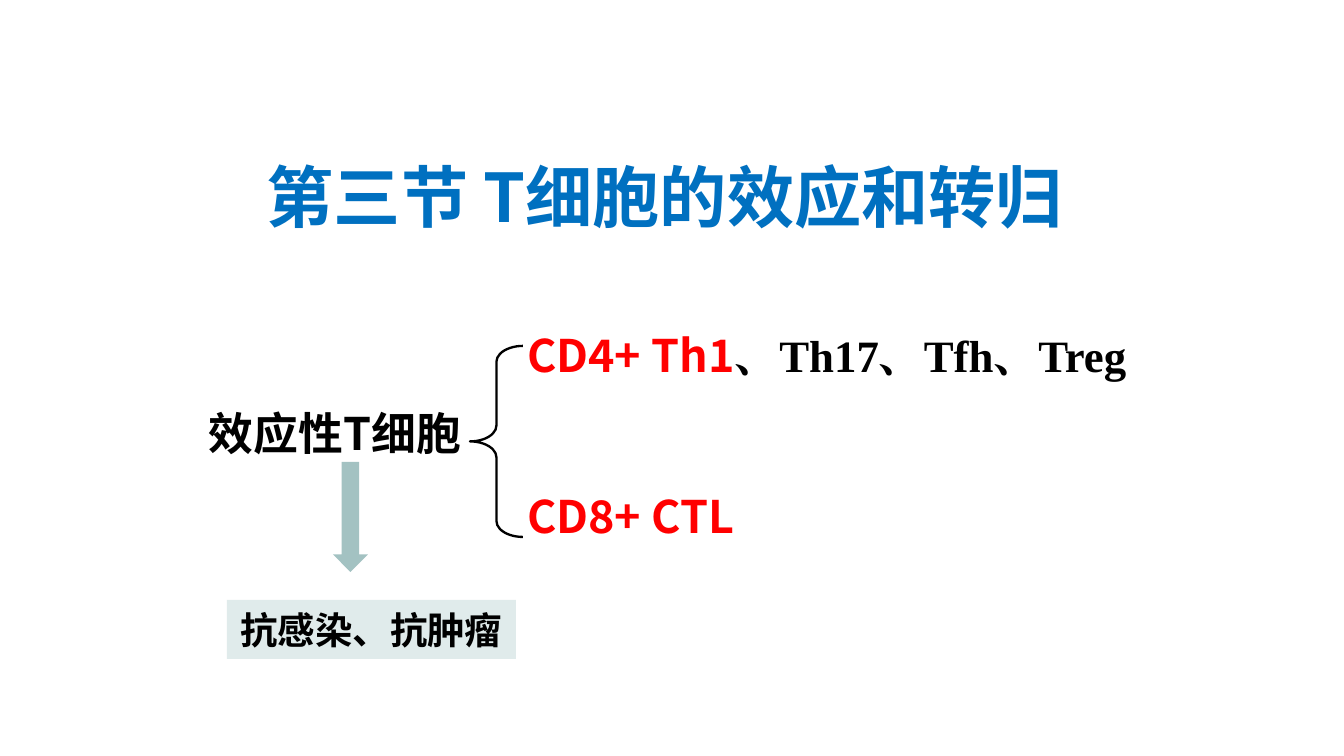
from dataclasses import dataclass

from lxml.etree import SubElement
from pptx import Presentation
from pptx.dml.color import RGBColor
from pptx.enum.shapes import MSO_SHAPE as SHAPE
from pptx.enum.text import MSO_ANCHOR, PP_ALIGN
from pptx.oxml.ns import qn
from pptx.util import Emu, Pt


@dataclass(frozen=True)
class Theme:
    sans: str = "Noto Sans CJK SC"
    serif: str = "Times New Roman"
    blue: str = "0070C0"
    red: str = "FF0000"
    black: str = "000000"
    arrow: str = "A3C2C2"
    panel: str = "E0EBEB"
    title: int = 36
    body: int = 24
    note: int = 20


T = Theme()
PX = 914400 / 134.4
SLIDE = (1344, 756)

# Runs are (text, font, colour); boxes are left, top, width, height in px.
TITLE = [("第三节 T细胞的效应和转归", T.sans, T.blue)]
SOURCE = [("效应性T细胞", T.sans, T.black)]
EFFECT = [("抗感染、抗肿瘤", T.sans, T.black)]
BRANCHES = [
    [("CD4+ Th1", T.sans, T.red), ("、Th17、Tfh、Treg", T.serif, T.black)],
    [("CD8+ CTL", T.sans, T.red)],
]
TITLE_BOX = (94, 152, 1142, 88)
SOURCE_BOX = (209, 399, 336, 67)
EFFECT_BOX = (227, 600, 289, 59)
BRACE_BOX = (470, 346, 53, 191)
ARROW_BOX = (333, 462, 35, 110)
BRANCH_BOX = (527, 322, 720, 65)
BRANCH_STEP = 161


def px(*values):
    return [Emu(round(v * PX)) for v in values]


def write(sp, runs, size, align=PP_ALIGN.LEFT):
    tf = sp.text_frame
    tf.word_wrap = True
    tf.vertical_anchor = MSO_ANCHOR.MIDDLE
    tf.margin_left = tf.margin_right = tf.margin_top = tf.margin_bottom = 0
    p = tf.paragraphs[0]
    p.alignment = align
    p.font.size, p.font.bold = Pt(size), True
    for text, font, colour in runs:
        r = p.add_run()
        r.text = text
        r.font.size, r.font.bold = Pt(size), True
        r.font.name = font
        r.font.color.rgb = RGBColor.from_string(colour)
        SubElement(r.font._element, qn("a:ea"), typeface=font)


def add_text(slide, box, runs, size):
    write(slide.shapes.add_textbox(*px(*box)), runs, size)


def add_shape(slide, kind, box, fill=None):
    sp = slide.shapes.add_shape(kind, *px(*box))
    sp.shadow.inherit = False
    if fill:
        sp.fill.solid()
        sp.fill.fore_color.rgb = RGBColor.from_string(fill)
        sp.line.fill.background()
    else:
        sp.fill.background()
    return sp


def main():
    prs = Presentation()
    prs.slide_width, prs.slide_height = px(*SLIDE)
    slide = prs.slides.add_slide(prs.slide_layouts[5])

    title = slide.shapes.title
    title.left, title.top, title.width, title.height = px(*TITLE_BOX)
    write(title, TITLE, T.title, PP_ALIGN.CENTER)

    left, top, width, height = BRANCH_BOX
    for i, runs in enumerate(BRANCHES):
        add_text(slide, (left, top + i * BRANCH_STEP, width, height), runs, T.body)

    brace = add_shape(slide, SHAPE.LEFT_BRACE, BRACE_BOX)
    brace.adjustments[0] = 0.3
    brace.line.color.rgb = RGBColor.from_string(T.black)
    brace.line.width = Pt(1.25)

    add_text(slide, SOURCE_BOX, SOURCE, T.body)
    panel = add_shape(slide, SHAPE.RECTANGLE, EFFECT_BOX, T.panel)
    write(panel, EFFECT, T.note, PP_ALIGN.CENTER)
    add_shape(slide, SHAPE.DOWN_ARROW, ARROW_BOX, T.arrow)

    prs.save("out.pptx")


if __name__ == "__main__":
    main()
